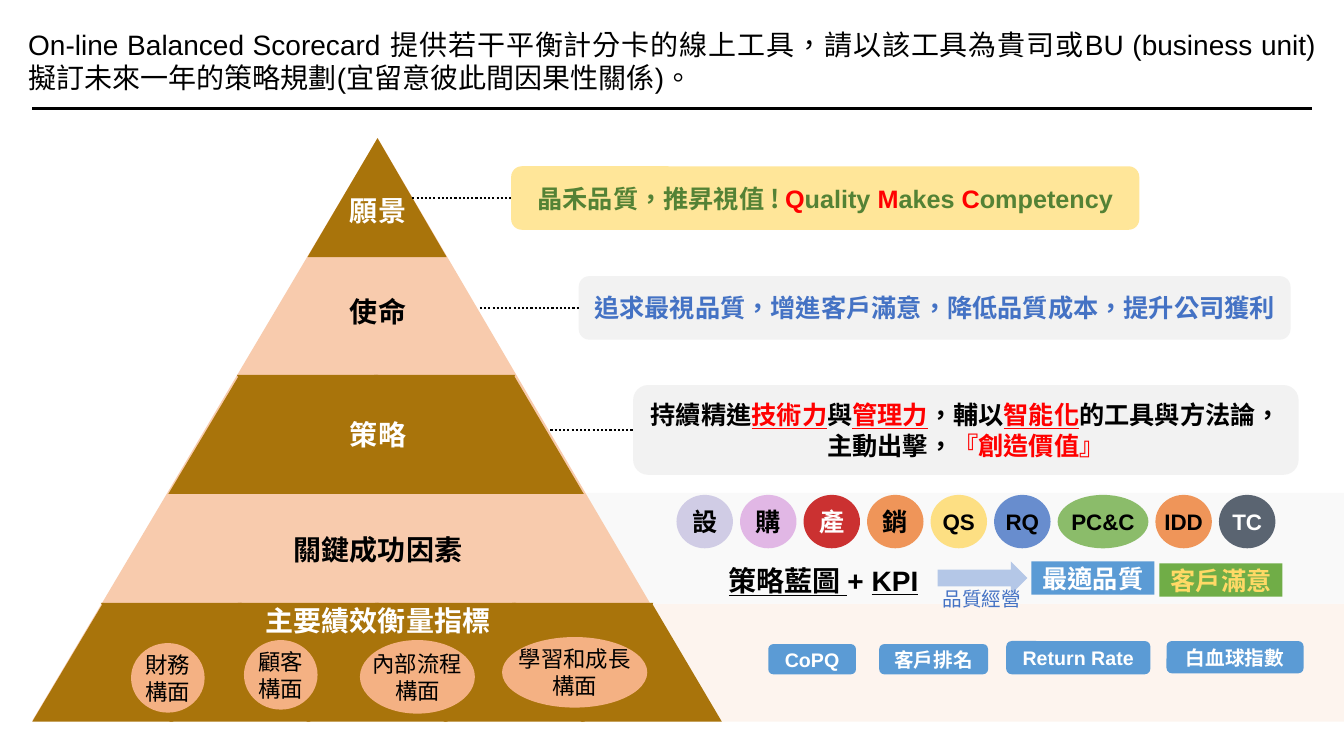
from lxml import etree
from pptx import Presentation
from pptx import util as u
from pptx.dml.color import RGBColor
from pptx.enum import dml, shapes, text
from pptx.oxml import ns

LATIN, CJK = "Arial", "Noto Sans CJK SC"
BROWN, PEACH, BLUE, GREEN, PALE = "A9740B", "F8CBAD", "5B9BD5", "70AD47", "F2F2F2"
BLACK, WHITE, RED, ORANGE = "000000", "FFFFFF", "FF0000", "ED7D31"
SHAPE = shapes.MSO_SHAPE
ALIGN = text.PP_ALIGN


def tint(fmt, color, alpha=100):
    """Fill a shape, line or font with a hex colour."""
    fmt.solid()
    fmt.fore_color.rgb = RGBColor.from_string(color)
    if alpha < 100:
        clr = fmt._xPr.find(ns.qn("a:solidFill")).find(ns.qn("a:srgbClr"))
        etree.SubElement(clr, ns.qn("a:alpha")).set("val", str(alpha * 1000))


def write(tf, paras, size, color=BLACK, bold=True, align=ALIGN.CENTER):
    """Write paragraphs of (text, colour, underline) runs."""
    for i, runs in enumerate(paras):
        p = tf.paragraphs[0] if i == 0 else tf.add_paragraph()
        p.alignment, p.line_spacing = align, u.Pt(size * 1.2)
        p.space_before = u.Pt(0)
        for run in [(runs,)] if isinstance(runs, str) else runs:
            words, hue, under = run + (color, False)[len(run) - 1:]
            r = p.add_run()
            r.text = words
            r.font.size, r.font.bold = u.Pt(size), bold
            r.font.underline = under
            r.font.name = LATIN if words.isascii() else CJK
            tint(r.font.fill, hue)
            rpr = r.font._element
            rpr.set("lang", "zh-TW")
            rpr.set("altLang", "en-US")
            ea = etree.Element(ns.qn("a:ea"), typeface=CJK)
            rpr.find(ns.qn("a:latin")).addnext(ea)


def add_shape(s, kind, x, y, w, h, color, alpha=100):
    """Add a flat filled shape."""
    sp = s.shapes.add_shape(kind, *map(u.Inches, (x, y, w, h)))
    sp.shadow.inherit = False
    sp.line.fill.background()
    tint(sp.fill, color, alpha)
    return sp


def add_tag(s, kind, box, fill, paras, size, color=BLACK, bold=True, alpha=100):
    """Add a shape with a tight centred caption."""
    sp = add_shape(s, kind, *box, fill, alpha)
    tf = sp.text_frame
    tf.margin_left = tf.margin_right = tf.margin_top = tf.margin_bottom = 0
    tf.word_wrap, tf.vertical_anchor = False, text.MSO_ANCHOR.MIDDLE
    write(tf, paras, size, color, bold)


def add_label(s, x, y, w, h, runs, size, color=BLACK, bold=True, align=ALIGN.CENTER):
    """Add a wrapped text box."""
    tf = s.shapes.add_textbox(*map(u.Inches, (x, y, w, h))).text_frame
    tf.word_wrap = True
    write(tf, [runs], size, color, bold, align)


def add_line(s, x1, x2, y, width, dash=None):
    """Add a horizontal black line."""
    ln = s.shapes.add_connector(shapes.MSO_CONNECTOR.STRAIGHT, *map(u.Inches, (x1, y, x2, y)))
    tint(ln.line.fill, BLACK)
    ln.line.width = u.Pt(width)
    if dash:
        ln.line.dash_style = dash
    etree.SubElement(ln._element.spPr, ns.qn("a:effectLst"))


def add_header(s, x, y, w, h):
    """Place the title and the rule under it."""
    sp = s.shapes.title
    sp.left, sp.top, sp.width, sp.height = map(u.Inches, (x, y, w, h))
    tf = sp.text_frame
    tf.word_wrap, tf.auto_size = True, text.MSO_AUTO_SIZE.NONE
    tf.vertical_anchor = text.MSO_ANCHOR.TOP
    runs = [("On-line Balanced Scorecard ",), ("提供若干平衡計分卡的線上工具，請以該工具為貴司或",),
            ("BU (business unit) ",), ("擬訂未來一年的策略規劃",), ("(",),
            ("宜留意彼此間因果性關係",), (")",), ("。",)]
    write(tf, [runs], 20, bold=False, align=ALIGN.JUSTIFY)
    add_line(s, x + 0.14, x + w - 0.14, y + 0.86, 2.25)


def add_pyramid(s, x, y, w, h):
    """Draw the five-level pyramid with its level names."""
    def triangle(left, top, width, height, color, turn=0):
        sp = add_shape(s, SHAPE.ISOSCELES_TRIANGLE, left, top, width, height, color)
        sp.adjustments[0], sp.rotation = 0.503, turn

    side, level, step = 1.4, 1.18, 0.68
    triangle(x, y, w, h, PEACH)
    triangle(x + 2.73, y, 1.38, level, BROWN)
    for left, top, count in ((1.35, 2.35, 5), (0, 4.61, 9)):
        for i in range(count):
            triangle(x + left + i * step, y + top, side, level, BROWN, 180 * (i % 2))
    for name, dy, color in (("願景", 0.5, WHITE), ("使命", 1.5, BLACK), ("策略", 2.72, WHITE),
                            ("關鍵成功因素", 3.86, BLACK), ("主要績效衡量指標", 4.57, WHITE)):
        add_label(s, x + 2.15, y + dy, 2.56, 0.44, name, 20, color)


def add_perspectives(s, x, y):
    """Place the four scorecard perspectives."""
    for name, dx, dy, w, h in (("財務", 0, 0.06, 0.73, 0.69), ("顧客", 1.12, 0.03, 0.73, 0.69),
                               ("內部流程", 2.27, 0.03, 1.14, 0.73), ("學習和成長", 3.68, 0, 1.44, 0.7)):
        add_tag(s, SHAPE.OVAL, (x + dx, y + dy, w, h), "F4B183", [name, "構面"], 16, bold=False)


def add_callout(s, x, y, w, h, lead, fill, runs, color=BLACK):
    """Place a statement and the dotted line that leads to it."""
    sp = add_shape(s, SHAPE.ROUNDED_RECTANGLE, x, y, w, h, fill)
    sp.text_frame.word_wrap = True
    sp.text_frame.vertical_anchor = text.MSO_ANCHOR.MIDDLE
    write(sp.text_frame, [runs], 18, color)
    add_line(s, lead, x, y + h / 2, 1.5, dml.MSO_LINE.ROUND_DOT)


def add_departments(s, x, y):
    """Place the row of department badges."""
    badges = [("設", "C6C1E1", BLACK, 0.56), ("購", "DBA7E1", BLACK, 0.56),
              ("產", "C00000", WHITE, 0.56), ("銷", ORANGE, BLACK, 0.56),
              ("QS", "FFD966", BLACK, 0.56), ("RQ", "4472C4", BLACK, 0.56),
              ("PC&C", GREEN, BLACK, 0.9), ("IDD", ORANGE, BLACK, 0.56),
              ("TC", "333F50", WHITE, 0.56)]
    for name, fill, color, w in badges:
        add_tag(s, SHAPE.OVAL, (x, y, w, 0.53), fill, [name], 16 if name.isascii() else 18,
                color, alpha=80)
        x += w + 0.07


def add_blueprint(s, x, y):
    """Place the path from blueprint and KPI to the two results."""
    add_label(s, x, y, 2.28, 0.44, [("策略藍圖 ", BLACK, True), ("+ ",), ("KPI", BLACK, True)],
              20, align=ALIGN.LEFT)
    add_shape(s, SHAPE.RIGHT_ARROW, x + 2.17, y + 0.03, 0.89, 0.33, "B4C7E7")
    add_label(s, x + 2.12, y + 0.23, 1.53, 0.34, "品質經營", 14, "4472C4", False, ALIGN.LEFT)
    for name, dx, dy, fill, color in (("最適品質", 3.1, 0.03, BLUE, WHITE),
                                      ("客戶滿意", 4.37, 0.05, GREEN, "FFD966")):
        add_tag(s, SHAPE.RECTANGLE, (x + dx, y + dy, 1.22, 0.33), fill, [name], 18, color)


def add_measures(s, x, y):
    """Place the row of performance measures."""
    for name, dx, dy, w, h in (("CoPQ", 0, 0.03, 0.87, 0.3), ("客戶排名", 1.1, 0.03, 1.08, 0.3),
                               ("Return Rate", 2.36, 0, 1.43, 0.33), ("白血球指數", 3.95, 0, 1.36, 0.32)):
        add_tag(s, SHAPE.ROUNDED_RECTANGLE, (x + dx, y + dy, w, h), BLUE, [name], 14, WHITE)


def main():
    """Build the slide."""
    prs = Presentation()
    prs.slide_width, prs.slide_height = u.Inches(13.33), u.Inches(7.5)
    s = prs.slides.add_slide(prs.slide_layouts[5])
    add_header(s, 0.18, 0.22, 12.97, 0.77)
    add_shape(s, SHAPE.RECTANGLE, 5.45, 5.99, 7.88, 1.17, "FBE5D6", 40)
    add_shape(s, SHAPE.RECTANGLE, 5.17, 4.89, 8.16, 1.1, PALE, 40)
    add_pyramid(s, 0.32, 1.37, 6.81, 5.78)
    add_perspectives(s, 1.3, 6.32)
    green = "548235"
    add_callout(s, 5.07, 1.65, 6.23, 0.63, 4.09, "FFE699",
                [("晶禾品質，推昇視值 ! ",), ("Q", RED), ("uality ",), ("M", RED), ("akes ",),
                 ("C", RED), ("ompetency",)], green)
    add_callout(s, 5.74, 2.74, 7.06, 0.63, 4.76, PALE,
                "追求最視品質，增進客戶滿意，降低品質成本，提升公司獲利", "4472C4")
    add_callout(s, 6.28, 3.82, 6.6, 0.89, 5.46, PALE,
                [("持續精進",), ("技術力", RED, True), ("與",), ("管理力", RED, True), ("，輔以",),
                 ("智能化", RED, True), ("的工具與方法論，主動出擊，",), ("『創造價值』", RED)])
    add_departments(s, 6.71, 4.91)
    add_blueprint(s, 7.13, 5.54)
    add_measures(s, 7.62, 6.36)
    prs.save("out.pptx")


if __name__ == "__main__":
    main()
